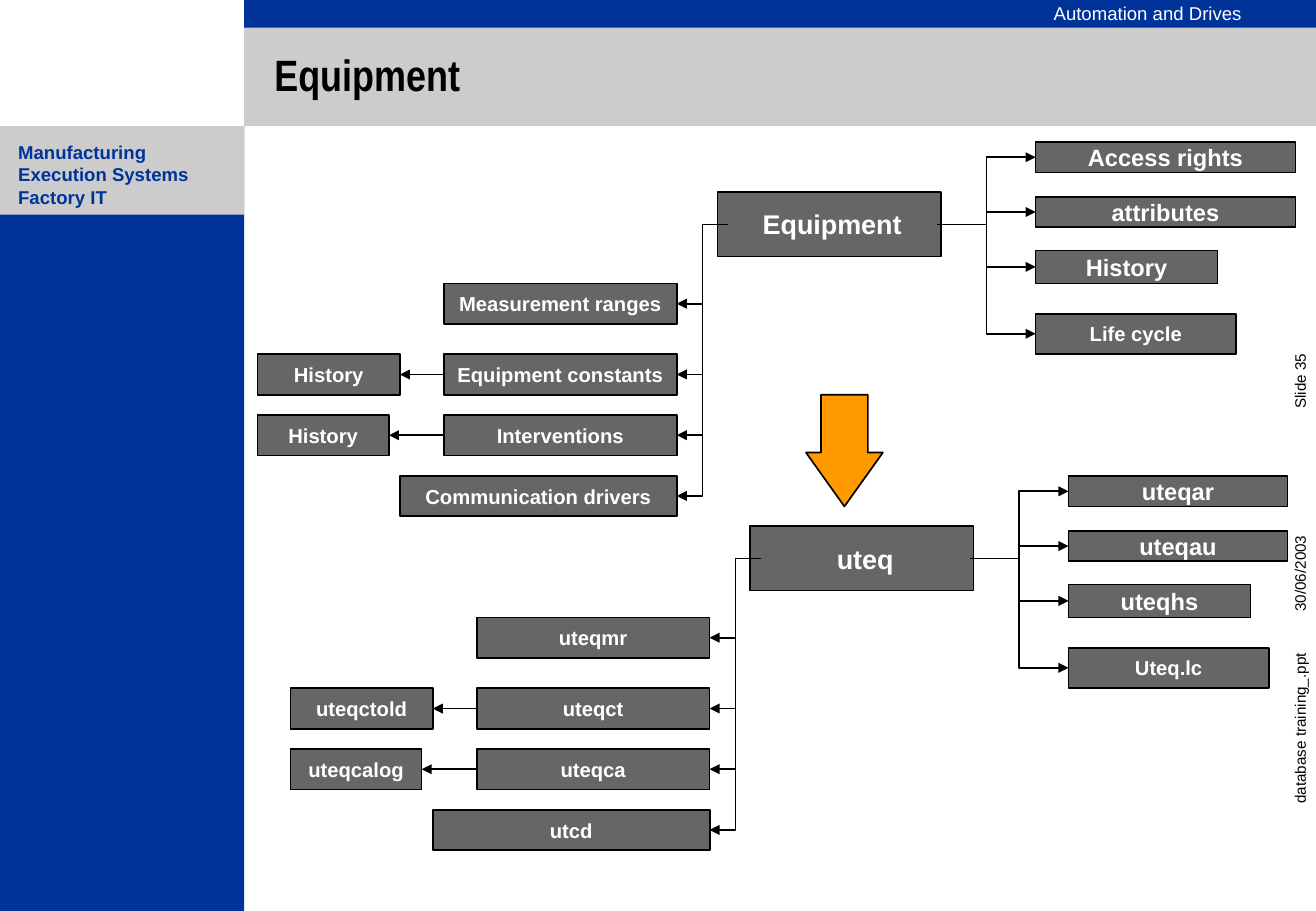
from dataclasses import dataclass

from lxml import etree
from pptx import Presentation
from pptx.dml.color import RGBColor
from pptx.enum.shapes import MSO_CONNECTOR, MSO_SHAPE
from pptx.enum.text import MSO_ANCHOR, PP_ALIGN
from pptx.oxml.ns import qn
from pptx.shapes.autoshape import Shape
from pptx.shapes.shapetree import SlideShapes
from pptx.text.text import TextFrame
from pptx.util import Pt

RECT, DOWN = MSO_SHAPE.RECTANGLE, MSO_SHAPE.DOWN_ARROW
ELBOW, LINE = MSO_CONNECTOR.ELBOW, MSO_CONNECTOR.STRAIGHT
LEFT, CENTER = PP_ALIGN.LEFT, PP_ALIGN.CENTER
TOP, MIDDLE = MSO_ANCHOR.TOP, MSO_ANCHOR.MIDDLE


@dataclass(frozen=True)
class Theme:
    blue: str = "003399"
    band: str = "CCCCCC"
    box: str = "666666"
    arrow: str = "FF9900"
    ink: str = "000000"
    white: str = "FFFFFF"
    face: str = "Arial"
    narrow: str = "Arial Narrow"
    title: float = 26
    root: float = 16
    large: float = 14
    small: float = 12
    head: float = 11
    side: float = 9


@dataclass(frozen=True)
class Area:
    x: float
    y: float
    w: float
    h: float

    @property
    def mid(self) -> float:
        return self.y + self.h / 2

    @property
    def right(self) -> float:
        return self.x + self.w

    def shift(self, dx: float, dy: float) -> "Area":
        return Area(self.x + dx, self.y + dy, self.w, self.h)


@dataclass(frozen=True)
class Node:
    text: str
    area: Area
    size: float


@dataclass(frozen=True)
class Tree:
    x: float
    y: float
    wide: float  # width of the two upper boxes on the right
    root: str
    right: tuple[str, ...]
    left: tuple[str, ...]
    logs: tuple[str, ...]


THEME = Theme()
ROOT = Area(0, 0, 132.5, 38.2)
HUB_LEFT, HUB_RIGHT, EDGE = 6.5, 130.4, -24.1

TREES = (
    Tree(425.5, 113.8, 154.1, "Equipment",
         ("Access rights", "attributes", "History", "Life cycle"),
         ("Measurement ranges", "Equipment constants", "Interventions",
          "Communication drivers"),
         ("History", "History")),
    Tree(445, 311.8, 129.9, "uteq",
         ("uteqar", "uteqau", "uteqhs", "Uteq.lc"),
         ("uteqmr", "uteqct", "uteqca", "utcd"),
         ("uteqctold", "uteqcalog")),
)


def color(code: str) -> RGBColor:
    return RGBColor.from_string(code)


def write(frame: TextFrame, text: str, size: float, ink: str,
          bold: bool = False, face: str = THEME.face, align: PP_ALIGN = LEFT,
          anchor: MSO_ANCHOR = TOP, wrap: bool = True, space: float = 1,
          pad: tuple[float, ...] = (7.2, 3.6, 7.2, 3.6)) -> None:
    frame.word_wrap, frame.vertical_anchor = wrap, anchor
    (frame.margin_left, frame.margin_top,
     frame.margin_right, frame.margin_bottom) = map(Pt, pad)
    para = frame.paragraphs[0]
    para.text, para.alignment, para.line_spacing = text, align, space
    font = para.font
    font.name, font.size, font.bold = face, Pt(size), bold
    font.color.rgb = color(ink)


def place(area: Area) -> tuple[Pt, ...]:
    return Pt(area.x), Pt(area.y), Pt(area.w), Pt(area.h)


def block(shapes: SlideShapes, area: Area, fill: str, edge: bool = False,
          kind: MSO_SHAPE = RECT) -> Shape:
    shape = shapes.add_shape(kind, *place(area))
    shape.shadow.inherit = False
    shape.fill.solid()
    shape.fill.fore_color.rgb = color(fill)
    if edge:
        shape.line.color.rgb = color(THEME.ink)
        shape.line.width = Pt(1)
    else:
        shape.line.fill.background()
    return shape


def draw_node(shapes: SlideShapes, node: Node, inset: float = 7.2) -> None:
    shape = block(shapes, node.area, THEME.box, True)
    write(shape.text_frame, node.text, node.size, THEME.white, True,
          align=CENTER, anchor=MIDDLE, wrap=False, pad=(inset, 3.6, 7.2, 3.6))


def link(shapes: SlideShapes, kind: MSO_CONNECTOR, x1: float, y1: float,
         x2: float, y2: float) -> None:
    line = shapes.add_connector(kind, Pt(x1), Pt(y1), Pt(x2), Pt(y2))
    line.line.color.rgb = color(THEME.ink)
    line.line.width = Pt(1)
    stroke = line.line._get_or_add_ln()
    etree.SubElement(stroke, qn("a:tailEnd"), type="triangle")
    etree.SubElement(stroke.getparent(), qn("a:effectLst"))


def draw_tree(shapes: SlideShapes, tree: Tree) -> None:
    def node(text: str, area: Area, size: float) -> Node:
        return Node(text, area.shift(tree.x, tree.y), size)

    root = node(tree.root, ROOT, THEME.root)
    draw_node(shapes, root, 10.8)
    hub = root.area.mid + 0.2

    # Boxes on the right
    rows = ((-29.5, tree.wide, 18, THEME.large), (2.9, tree.wide, 18, THEME.large),
            (34.6, 108, 19.6, THEME.large), (72.2, 118.8, 23.8, THEME.small))
    for text, (y, w, h, size) in zip(tree.right, rows):
        leaf = node(text, Area(188.7, y, w, h), size)
        draw_node(shapes, leaf)
        link(shapes, ELBOW, tree.x + HUB_RIGHT, hub, leaf.area.x, leaf.area.mid)

    # Boxes on the left, flush at their right edge
    parts = []
    for text, y, w in zip(tree.left, (54.2, 96.2, 132.2, 168.2),
                          (138.2, 138.2, 138.2, 164.2)):
        leaf = node(text, Area(EDGE - w, y, w, 24), THEME.small)
        draw_node(shapes, leaf)
        link(shapes, ELBOW, tree.x + HUB_LEFT, hub, leaf.area.right, leaf.area.mid)
        parts.append(leaf.area)

    # History boxes of the two middle parts
    for text, part, w in zip(tree.logs, parts[1:3], (84.4, 77.8)):
        log = Node(text, Area(tree.x - 272.7, part.y, w, part.h), THEME.small)
        draw_node(shapes, log)
        link(shapes, LINE, part.x, part.mid, log.area.right, part.mid)


def main() -> None:
    deck = Presentation()
    deck.slide_width, deck.slide_height = Pt(780.48), Pt(540)
    slide = deck.slides.add_slide(deck.slide_layouts[5])
    shapes = slide.shapes

    # Bands
    for area, fill in ((Area(144.8, 0, 635.68, 74.8), THEME.band),
                       (Area(144.8, 0, 635.68, 16.4), THEME.blue),
                       (Area(0, 74.8, 144.8, 465.2), THEME.blue),
                       (Area(0, 74.8, 144.8, 52.4), THEME.band)):
        block(shapes, area, fill)

    # Header and side labels
    head = shapes.add_textbox(*place(Area(617.8, -0.7, 126, 19.4)))
    write(head.text_frame, "Automation and Drives", THEME.head, THEME.white,
          wrap=False, space=0.9)
    unit = shapes.add_textbox(*place(Area(7.9, 83.6, 134.6, 39.6)))
    write(unit.text_frame, "Manufacturing Execution Systems\vFactory IT",
          THEME.head, THEME.blue, True, pad=(2.9, 0, 2.9, 0))
    for text, y in (("30/06/2003", 296.6), ("Slide 35", 176.4),
                    ("database training_.ppt", 410.4)):
        side = shapes.add_textbox(*place(Area(710.4, y, 121, 18)))
        side.rotation = 270
        write(side.text_frame, text, THEME.side, THEME.ink, pad=(3.6,) * 4)

    # Title, brought in front of the bands
    title = shapes.title
    title.left, title.top, title.width, title.height = place(
        Area(162.7, 16.6, 617.78, 58.3))
    write(title.text_frame, "Equipment", THEME.title, THEME.ink, True,
          THEME.narrow, anchor=MIDDLE, space=0.9, pad=(0, 0, 7.2, 0))
    title.element.getparent().append(title.element)

    # Trees and the arrow between them
    for tree in TREES:
        draw_tree(shapes, tree)
    arrow = block(shapes, Area(478, 234, 45.6, 66.2), THEME.arrow, True, DOWN)
    arrow.adjustments[0], arrow.adjustments[1] = 0.61, 0.7

    deck.save("out.pptx")


if __name__ == "__main__":
    main()
